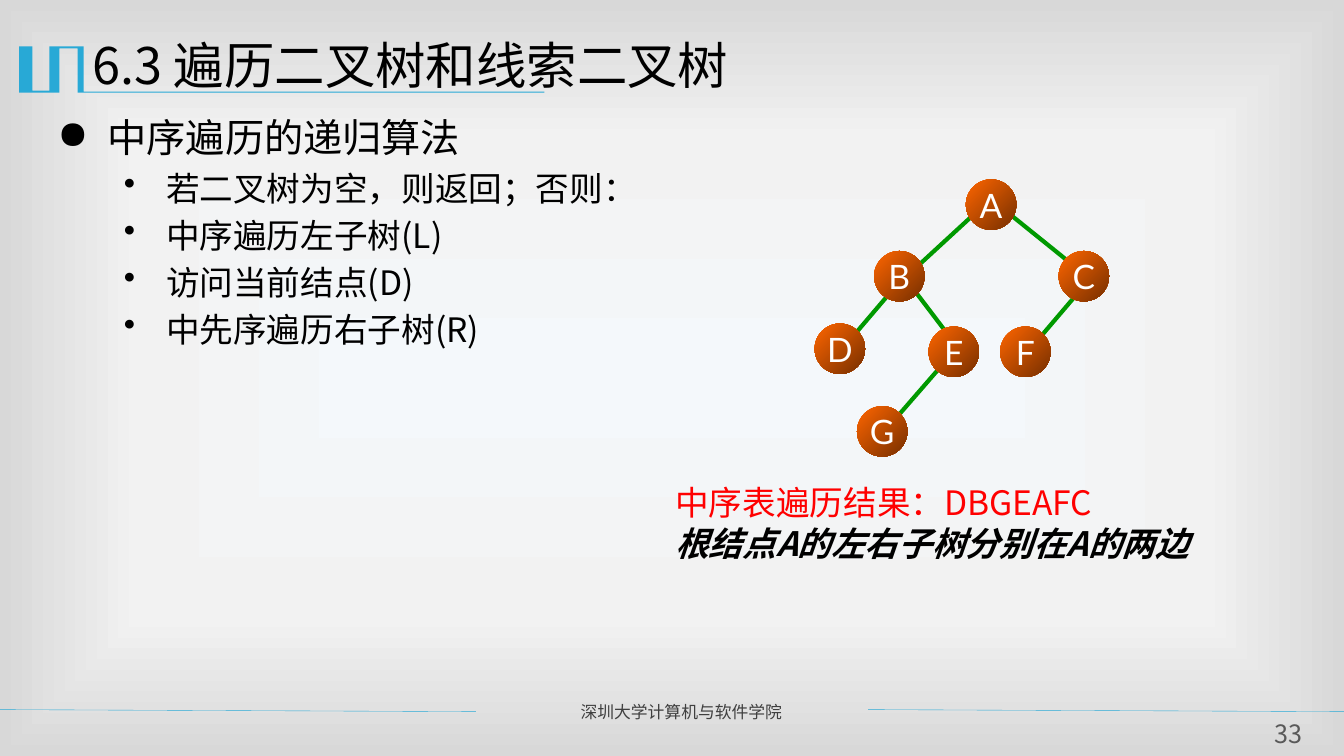
from copy import deepcopy
from dataclasses import dataclass

from lxml import etree
from pptx import Presentation
from pptx.dml.color import RGBColor
from pptx.enum.shapes import MSO_CONNECTOR, MSO_SHAPE
from pptx.enum.text import MSO_ANCHOR, PP_ALIGN
from pptx.oxml.ns import qn
from pptx.slide import Slide
from pptx.text.text import TextFrame
from pptx.util import Pt

PX = 9144  # 100 px to the inch
STRAIGHT = MSO_CONNECTOR.STRAIGHT
ELLIPSE = MSO_SHAPE.OVAL
LEFT, CENTER, JUSTIFY = PP_ALIGN.LEFT, PP_ALIGN.CENTER, PP_ALIGN.JUSTIFY
TOP, MIDDLE = MSO_ANCHOR.TOP, MSO_ANCHOR.MIDDLE

CJK_FONT, NODE_FONT = "Noto Sans CJK SC", "Lato"
BLACK = RGBColor(0x00, 0x00, 0x00)
WHITE = RGBColor(0xFF, 0xFF, 0xFF)
RED = RGBColor(0xFF, 0x00, 0x00)
BLUE = RGBColor(0x28, 0xA9, 0xD6)
GREEN = RGBColor(0x00, 0x99, 0x00)
ORANGE = RGBColor(0xFF, 0x66, 0x00)
BROWN = RGBColor(0x76, 0x2F, 0x00)
FOOTER_GRAY = RGBColor(0x3F, 0x3F, 0x3F)
NUMBER_GRAY = RGBColor(0x59, 0x59, 0x59)
BACKGROUND_STOPS = [
    (0, RGBColor(0xF4, 0xF8, 0xFB)),
    (0.63, RGBColor(0xF2, 0xF2, 0xF2)),
    (1, RGBColor(0xD8, 0xD8, 0xD8)),
]


@dataclass
class Line:
    text: str
    size: int
    color: RGBColor = BLACK
    font: str = CJK_FONT
    align: PP_ALIGN = LEFT
    margin: int = 0
    hanging: int = 0
    bullet: str = ""
    leading: float = 1.2
    space_before: float = 0
    emphasis: bool = False


@dataclass
class TextBox:
    left: int
    top: int
    width: int
    height: int
    lines: list[Line]
    inset_x: int = 10
    inset_y: int = 5


@dataclass
class Node:
    letter: str
    left: int
    top: int


@dataclass
class Edge:
    x1: int
    y1: int
    x2: int
    y2: int
    color: RGBColor = GREEN
    weight: float = 3


def step(text: str) -> Line:
    return Line(text, 24, margin=108, hanging=42, bullet="•", space_before=4.8)


LOGO_OUTLINE = [
    (82, 46), (83, 46), (83, 91), (540, 91), (540, 92), (77, 92), (77, 48), (59, 48),
    (59, 92), (19, 92), (19, 46), (32, 46), (32, 90), (49, 90), (49, 46),
]
FOOTER_RULES = [
    Edge(-1, 704, 472, 706, BLUE, 0.25),
    Edge(861, 704, 1333, 706, BLUE, 0.25),
]
TEXT_BOXES = [
    TextBox(566, 691, 285, 30, [Line("深圳大学计算机与软件学院", 12, FOOTER_GRAY, align=JUSTIFY)]),
    TextBox(47, 104, 1213, 563, [
        Line("中序遍历的递归算法", 28, margin=50, hanging=50, bullet="●", leading=1.3),
        step("若二叉树为空，则返回；否则："),
        step("中序遍历左子树(L)"),
        step("访问当前结点(D)"),
        step("中先序遍历右子树(R)"),
    ]),
    TextBox(82, 24, 1200, 87, [
        Line("6.3 遍历二叉树和线索二叉树", 36, margin=133, hanging=133, leading=1.3),
    ]),
    TextBox(1248, 713, 59, 31, [Line("33", 18, NUMBER_GRAY, align=CENTER)], 0, 0),
    TextBox(660, 470, 559, 91, [
        Line("中序表遍历结果：DBGEAFC", 24, RED, margin=67, hanging=67, leading=1.3),
        Line("根结点A的左右子树分别在A的两边", 24, margin=67, hanging=67, emphasis=True),
    ]),
]
NODE_SIZE = 50
NODES = [
    Node("A", 958, 178), Node("D", 808, 321), Node("B", 867, 249), Node("F", 992, 324),
    Node("C", 1050, 249), Node("G", 850, 403), Node("E", 921, 324),
]
TREE_EDGES = [
    Edge(996, 208, 1058, 258), Edge(971, 208, 908, 266), Edge(896, 275, 850, 329),
    Edge(900, 279, 938, 329), Edge(1079, 279, 1033, 333), Edge(938, 358, 892, 411),
]


def paint_background(page: Slide) -> None:
    """Fill the page with a gradient that spreads from its centre."""
    fill = page.background.fill
    fill.gradient()
    gradient = page.element.find(f".//{qn('a:gradFill')}")
    stop_list = gradient.find(qn("a:gsLst"))
    stop_list.append(deepcopy(stop_list[0]))
    for stop, (position, color) in zip(fill.gradient_stops, BACKGROUND_STOPS):
        stop.position = position
        stop.color.rgb = color
    gradient.remove(gradient.find(qn("a:lin")))
    spread = etree.SubElement(gradient, qn("a:path"), {"path": "rect"})
    etree.SubElement(spread, qn("a:fillToRect"), dict.fromkeys("ltrb", "50000"))


def write_lines(frame: TextFrame, lines: list[Line]) -> None:
    frame.text = "\n".join(line.text for line in lines)
    for para, line in zip(frame.paragraphs, lines):
        properties = para._p.get_or_add_pPr()
        properties.set("marL", str(line.margin * PX))
        properties.set("indent", str(-line.hanging * PX))
        if line.bullet:
            etree.SubElement(properties, qn("a:buChar"), {"char": line.bullet})
        para.alignment = line.align
        para.line_spacing = Pt(line.size * line.leading)
        para.space_before = Pt(line.space_before)
        for span in para.runs:
            span.font.size = Pt(line.size)
            span.font.bold = span.font.italic = line.emphasis
            span.font.color.rgb = line.color
            span.font.name = line.font
            etree.SubElement(span._r.get_or_add_rPr(), qn("a:ea"), {"typeface": line.font})


def set_insets(frame: TextFrame, inset_x: int, inset_y: int) -> None:
    frame.margin_left = frame.margin_right = inset_x * PX
    frame.margin_top = frame.margin_bottom = inset_y * PX


def add_text_box(page: Slide, item: TextBox) -> None:
    box = page.shapes.add_textbox(item.left * PX, item.top * PX, item.width * PX, item.height * PX)
    frame = box.text_frame
    frame.word_wrap = True
    frame.vertical_anchor = TOP
    set_insets(frame, item.inset_x, item.inset_y)
    write_lines(frame, item.lines)


def add_edge(page: Slide, edge: Edge) -> None:
    connector = page.shapes.add_connector(
        STRAIGHT, edge.x1 * PX, edge.y1 * PX, edge.x2 * PX, edge.y2 * PX)
    connector.line.color.rgb = edge.color
    connector.line.width = Pt(edge.weight)
    etree.SubElement(connector._element.spPr, qn("a:effectLst"))


def add_node(page: Slide, node: Node) -> None:
    circle = page.shapes.add_shape(
        ELLIPSE, node.left * PX, node.top * PX, NODE_SIZE * PX, NODE_SIZE * PX)
    circle.shadow.inherit = False
    circle.line.fill.background()
    circle.fill.gradient()
    circle.fill.gradient_angle = 315
    for stop, position, color in zip(circle.fill.gradient_stops, (0, 1), (ORANGE, BROWN)):
        stop.position = position
        stop.color.rgb = color
    frame = circle.text_frame
    frame.word_wrap = False
    frame.vertical_anchor = MIDDLE
    set_insets(frame, 0, 5)
    write_lines(frame, [Line(node.letter, 24, WHITE, NODE_FONT, CENTER)])


def add_title_ornament(page: Slide) -> None:
    builder = page.shapes.build_freeform(*LOGO_OUTLINE[0], scale=PX)
    builder.add_line_segments(LOGO_OUTLINE[1:], close=True)
    ornament = builder.convert_to_shape()
    ornament.shadow.inherit = False
    ornament.fill.solid()
    ornament.fill.fore_color.rgb = BLUE
    ornament.line.fill.background()


def main() -> None:
    deck = Presentation()
    deck.slide_width, deck.slide_height = 1333 * PX, 750 * PX
    page = deck.slides.add_slide(deck.slide_layouts[6])
    paint_background(page)
    add_title_ornament(page)
    for item in TEXT_BOXES:
        add_text_box(page, item)
    for edge in FOOTER_RULES + TREE_EDGES:
        add_edge(page, edge)
    for node in NODES:
        add_node(page, node)
    deck.save("out.pptx")


if __name__ == "__main__":
    main()
